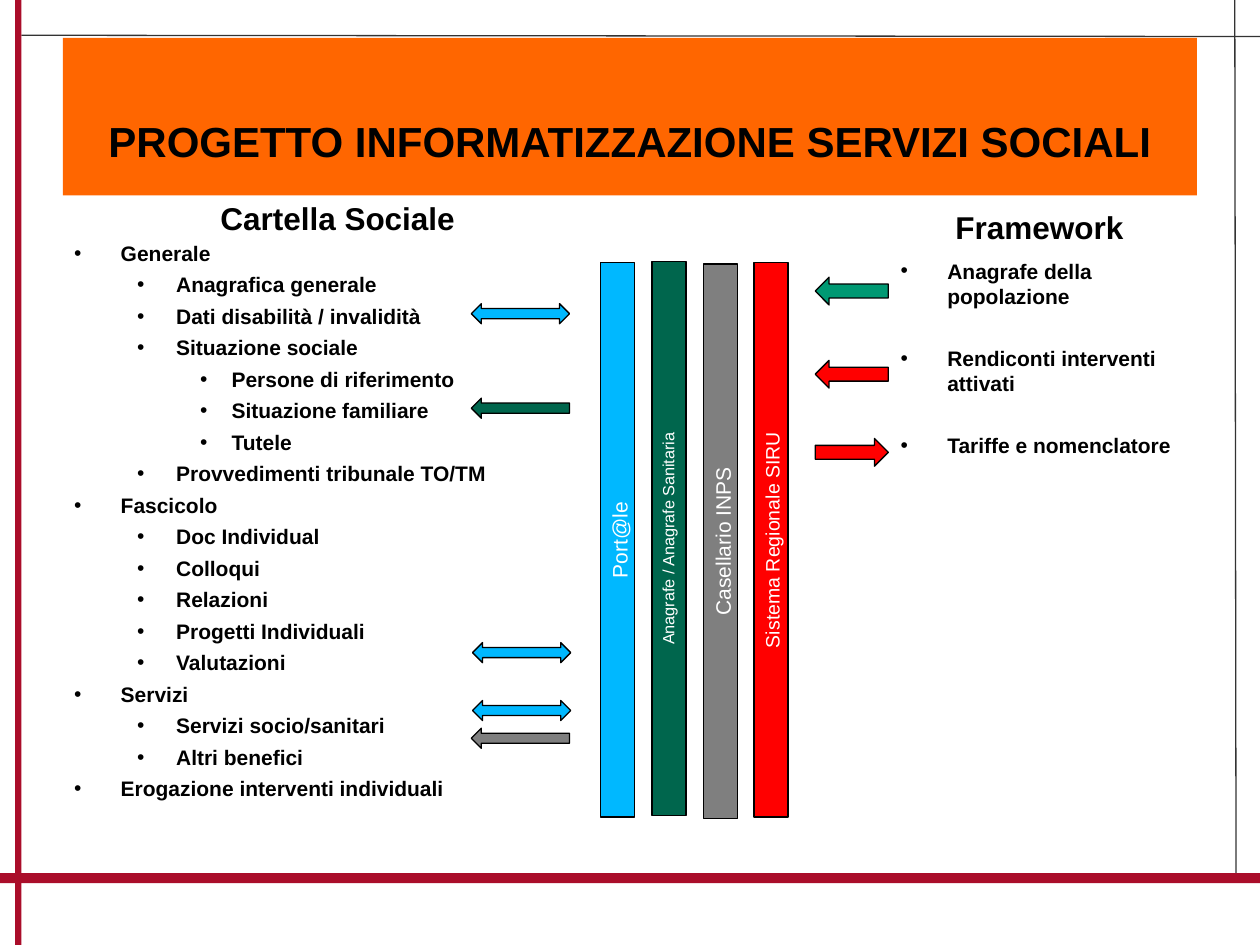
from lxml.etree import SubElement
from pptx import Presentation
from pptx.dml.color import RGBColor
from pptx.enum.shapes import MSO_CONNECTOR, MSO_SHAPE
from pptx.enum.text import MSO_ANCHOR, PP_ALIGN
from pptx.oxml.ns import qn
from pptx.util import Inches, Pt


def color(value):
    return RGBColor.from_string(value)


def write(paragraph, text, size=12, ink="000000", bold=True, align=None,
          level=None, before=0):
    """Put formatted text in a paragraph; a level makes it a bullet."""
    if level is not None:
        paragraph.level = level
        margin, hanging = [(0.37, 0.37), (0.81, 0.31), (1.25, 0.25)][level]
        properties = paragraph._p.get_or_add_pPr()
        properties.set("marL", str(Inches(margin)))
        properties.set("indent", str(-Inches(hanging)))
        SubElement(properties, qn("a:buFont")).set("typeface", "Arial")
        SubElement(properties, qn("a:buChar")).set("char", "•")
    paragraph.alignment = align
    paragraph.space_before = Pt(before)
    span = paragraph.add_run()
    span.text = text
    span.font.name = "Arial"
    span.font.size = Pt(size)
    span.font.bold = bold
    span.font.color.rgb = color(ink)


deck = Presentation()
deck.slide_width, deck.slide_height = Inches(10), Inches(7.5)
page = deck.slides.add_slide(deck.slide_layouts[6])


def add_block(kind, left, top, width, height, fill, outlined=True):
    block = page.shapes.add_shape(kind, Inches(left), Inches(top),
                                  Inches(width), Inches(height))
    block.shadow.inherit = False
    block.fill.solid()
    block.fill.fore_color.rgb = color(fill)
    if outlined:
        block.line.color.rgb = color("000000")
        block.line.width = Pt(0.75)
    else:
        block.line.fill.background()
    return block


# Frame: thin grey lines and thick crimson bands
for x1, y1, x2, y2 in [(9.8, 0, 9.81, 6.98), (0.17, 0.28, 10, 0.29)]:
    rule = page.shapes.add_connector(MSO_CONNECTOR.STRAIGHT, Inches(x1), Inches(y1),
                                     Inches(x2), Inches(y2))
    rule.line.color.rgb = color("333333")
    rule.line.width = Pt(0.75)
    SubElement(rule._element.spPr, qn("a:effectLst"))
for place in [(0.12, 0, 0.05, 7.5), (0, 6.93, 10, 0.08)]:
    add_block(MSO_SHAPE.RECTANGLE, *place, "AA0D2A", outlined=False)

# Title banner, with the text set low
banner = add_block(MSO_SHAPE.RECTANGLE, 0.5, 0.3, 9, 1.25, "FF6600", outlined=False)
banner.text_frame.word_wrap = True
banner.text_frame.vertical_anchor = MSO_ANCHOR.MIDDLE
banner.text_frame.margin_top = Inches(0.43)
write(banner.text_frame.paragraphs[0], "PROGETTO INFORMATIZZAZIONE SERVIZI SOCIALI",
      size=24, align=PP_ALIGN.CENTER)

# Column headings
for text, left, top, width in [("Cartella Sociale", 0.5, 1.53, 4.36),
                               ("Framework", 7, 1.6, 2.5)]:
    box = page.shapes.add_textbox(Inches(left), Inches(top), Inches(width), Inches(0.4))
    box.text_frame.word_wrap = True
    write(box.text_frame.paragraphs[0], text, size=18, align=PP_ALIGN.CENTER)

# Bullet lists: place, space between items, (level, text)
record_items = [
    (0, "Generale"),
    (1, "Anagrafica generale"),
    (1, "Dati disabilità / invalidità"),
    (1, "Situazione sociale"),
    (2, "Persone di riferimento"),
    (2, "Situazione familiare"),
    (2, "Tutele"),
    (1, "Provvedimenti tribunale TO/TM"),
    (0, "Fascicolo"),
    (1, "Doc Individual"),
    (1, "Colloqui"),
    (1, "Relazioni"),
    (1, "Progetti Individuali"),
    (1, "Valutazioni"),
    (0, "Servizi"),
    (1, "Servizi socio/sanitari"),
    (1, "Altri benefici"),
    (0, "Erogazione interventi individuali"),
]
framework_items = [
    (0, "Anagrafe della popolazione"),
    (0, "Rendiconti interventi attivati"),
    (0, "Tariffe e nomenclatore"),
]
for left, top, width, gap, items in [(0.49, 1.86, 3.56, 3.6, record_items),
                                     (7.05, 2, 2.45, 21, framework_items)]:
    box = page.shapes.add_textbox(Inches(left), Inches(top), Inches(width), Inches(4.73))
    frame = box.text_frame
    frame.word_wrap = True
    for number, (level, text) in enumerate(items):
        paragraph = frame.add_paragraph() if number else frame.paragraphs[0]
        write(paragraph, text, level=level, before=gap if number else 0)

# External systems: bars turned to read upwards
for text, left, top, fill, size in [
    ("Port@le", 2.7, 4.15, "00B8FF", 12),
    ("Anagrafe / Anagrafe Sanitaria", 3.11, 4.14, "00664D", 9.3),
    ("Casellario INPS", 3.52, 4.16, "7F7F7F", 12),
    ("Sistema Regionale SIRU", 3.92, 4.15, "FF0000", 11.1),
]:
    bar = add_block(MSO_SHAPE.RECTANGLE, left, top, 4.4, 0.27, fill)
    bar.rotation = 270
    bar.text_frame.word_wrap = True
    bar.text_frame.vertical_anchor = MSO_ANCHOR.TOP
    write(bar.text_frame.paragraphs[0], text, size=size, ink="FFFFFF", bold=False,
          align=PP_ALIGN.CENTER)

# Data flows between the lists and the systems
both, to_left, to_right = (MSO_SHAPE.LEFT_RIGHT_ARROW, MSO_SHAPE.LEFT_ARROW,
                           MSO_SHAPE.RIGHT_ARROW)
for kind, left, top, fill in [
    (both, 3.74, 2.41, "00B8FF"),
    (to_left, 3.74, 3.16, "00664D"),
    (both, 3.75, 5.1, "00B8FF"),
    (both, 3.75, 5.56, "00B8FF"),
    (to_left, 3.74, 5.78, "7F7F7F"),
]:
    add_block(kind, left, top, 0.78, 0.16, fill)
for kind, top, fill in [(to_left, 2.2, "009973"), (to_left, 2.86, "FF0000"),
                        (to_right, 3.48, "FF0000")]:
    add_block(kind, 6.47, top, 0.58, 0.22, fill)

deck.save("out.pptx")
